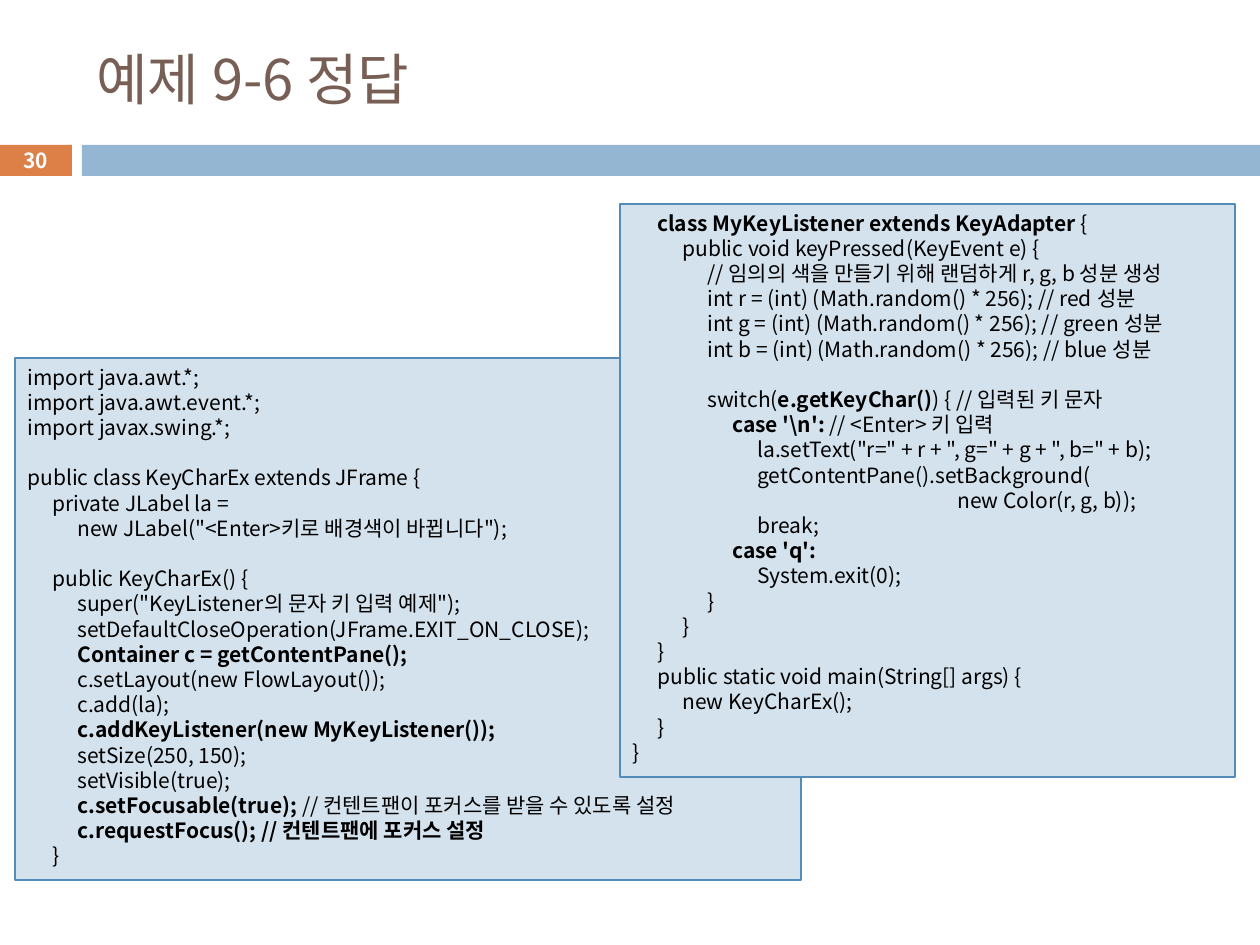
from dataclasses import dataclass

from lxml.etree import SubElement
from pptx import Presentation
from pptx.dml.color import RGBColor
from pptx.enum.shapes import MSO_SHAPE as Shape
from pptx.enum.text import MSO_ANCHOR as Anchor, PP_ALIGN as Align
from pptx.oxml.ns import qn
from pptx.util import Pt

EMU_PER_PX = 914400 / 126
TAB_PX = 25
INDENT = " " * 4
BOLD_MARK = "**"


@dataclass(frozen=True)
class Theme:
    font: str = "Noto Sans CJK KR"
    accent: str = "DD8047"
    band: str = "94B6D2"
    title: str = "775F55"
    panel: str = "D4E2ED"
    border: str = "558BB8"
    text: str = "000000"
    light: str = "FFFFFF"
    title_size: float = 32
    number_size: float = 11.9
    code_size: float = 12
    code_leading: float = 14.4


CLASS_CODE = r"""import java.awt.*;
import java.awt.event.*;
import javax.swing.*;

public class KeyCharEx extends JFrame {
    private JLabel la =
        new JLabel("<Enter>키로 배경색이 바뀝니다");
"""

CONSTRUCTOR_CODE = r"""    public KeyCharEx() {
        super("KeyListener의 문자 키 입력 예제");
        setDefaultCloseOperation(JFrame.EXIT_ON_CLOSE);
        **Container c = getContentPane();**
        c.setLayout(new FlowLayout());
        c.add(la);
        **c.addKeyListener(new MyKeyListener());**
        setSize(250, 150);
        setVisible(true);
        **c.setFocusable(true); **// 컨텐트팬이 포커스를 받을 수 있도록 설정
        **c.requestFocus(); // 컨텐트팬에 포커스 설정**
    }"""

LISTENER_CODE = r"""    **class MyKeyListener extends KeyAdapter **{
        public void keyPressed(KeyEvent e) {
            // 임의의 색을 만들기 위해 랜덤하게 r, g, b 성분 생성
            int r = (int) (Math.random() * 256); // red 성분
            int g = (int) (Math.random() * 256); // green 성분
            int b = (int) (Math.random() * 256); // blue 성분
"""

SWITCH_CODE = r"""            switch(**e.getKeyChar()**) { // 입력된 키 문자
                **case '\n': **// <Enter> 키 입력
                    la.setText("r=" + r + ", g=" + g + ", b=" + b);
                    getContentPane().setBackground(
                                                    new Color(r, g, b));
                    break;
                **case 'q':**
                    System.exit(0);
            }
        }
    }"""

MAIN_CODE = r"""    public static void main(String[] args) {
        new KeyCharEx();
    }
}"""


def px(value):
    return round(value * EMU_PER_PX)


class SlideBuilder:
    def __init__(self, slide, theme):
        self.slide = slide
        self.theme = theme

    def set_font(self, paragraph, size, color, bold=None):
        font = paragraph.font
        font.size = Pt(size)
        font.bold = bold
        font.color.rgb = RGBColor.from_string(color)
        font.name = self.theme.font
        latin = paragraph._p.pPr.find(".//" + qn("a:latin"))
        east_asian = latin.makeelement(qn("a:ea"), {"typeface": self.theme.font})
        latin.addnext(east_asian)

    def rectangle(self, box, fill, border=None):
        shape = self.slide.shapes.add_shape(Shape.RECTANGLE, *map(px, box))
        shape.shadow.inherit = False
        shape.fill.solid()
        shape.fill.fore_color.rgb = RGBColor.from_string(fill)
        if border:
            shape.line.color.rgb = RGBColor.from_string(border)
            shape.line.width = Pt(0.75)
        else:
            shape.line.fill.background()
        return shape

    def label(self, box, text, size, color, align=Align.LEFT, bold=None):
        frame = self.slide.shapes.add_textbox(*map(px, box)).text_frame
        frame.word_wrap = True
        frame.vertical_anchor = Anchor.MIDDLE
        paragraph = frame.paragraphs[0]
        paragraph.text = text
        paragraph.alignment = align
        self.set_font(paragraph, size, color, bold)

    def code_panel(self, box, *sections):
        """Draw a panel of code; indents become tabs, marked parts are bold."""
        theme = self.theme
        frame = self.rectangle(box, theme.panel, theme.border).text_frame
        frame.word_wrap = True
        frame.vertical_anchor = Anchor.TOP
        for index, line in enumerate("\n".join(sections).split("\n")):
            paragraph = frame.add_paragraph() if index else frame.paragraphs[0]
            paragraph.alignment = Align.LEFT
            paragraph.line_spacing = Pt(theme.code_leading)
            body = line.lstrip()
            depth = (len(line) - len(body)) // len(INDENT)
            self.add_tabs(paragraph, depth)
            self.set_font(paragraph, theme.code_size, theme.text)
            parts = ("\t" * depth + body).split(BOLD_MARK)
            for position, part in enumerate(parts):
                if part:
                    run = paragraph.add_run()
                    run.text = part
                    if position % 2:
                        run.font.bold = True

    @staticmethod
    def add_tabs(paragraph, count):
        if count:
            tabs = SubElement(paragraph._p.get_or_add_pPr(), qn("a:tabLst"))
            for stop in range(1, count + 1):
                SubElement(tabs, qn("a:tab"), pos=str(px(stop * TAB_PX)), algn="l")


def main():
    presentation = Presentation()
    presentation.slide_width, presentation.slide_height = px(1260), px(945)
    theme = Theme()
    slide = presentation.slides.add_slide(presentation.slide_layouts[6])
    builder = SlideBuilder(slide, theme)

    builder.rectangle((-1, 145, 73, 31), theme.accent)
    builder.rectangle((82, 145, 1178, 31), theme.band)
    builder.label((84, 31, 1124, 94), "예제 9-6 정답", theme.title_size, theme.title)
    builder.label((-1, 143, 73, 34), "30", theme.number_size, theme.light,
                  Align.CENTER, bold=True)
    builder.code_panel((15, 358, 786, 522), CLASS_CODE, CONSTRUCTOR_CODE)
    builder.code_panel((620, 204, 615, 573), LISTENER_CODE, SWITCH_CODE, MAIN_CODE)

    presentation.save("out.pptx")


if __name__ == "__main__":
    main()
